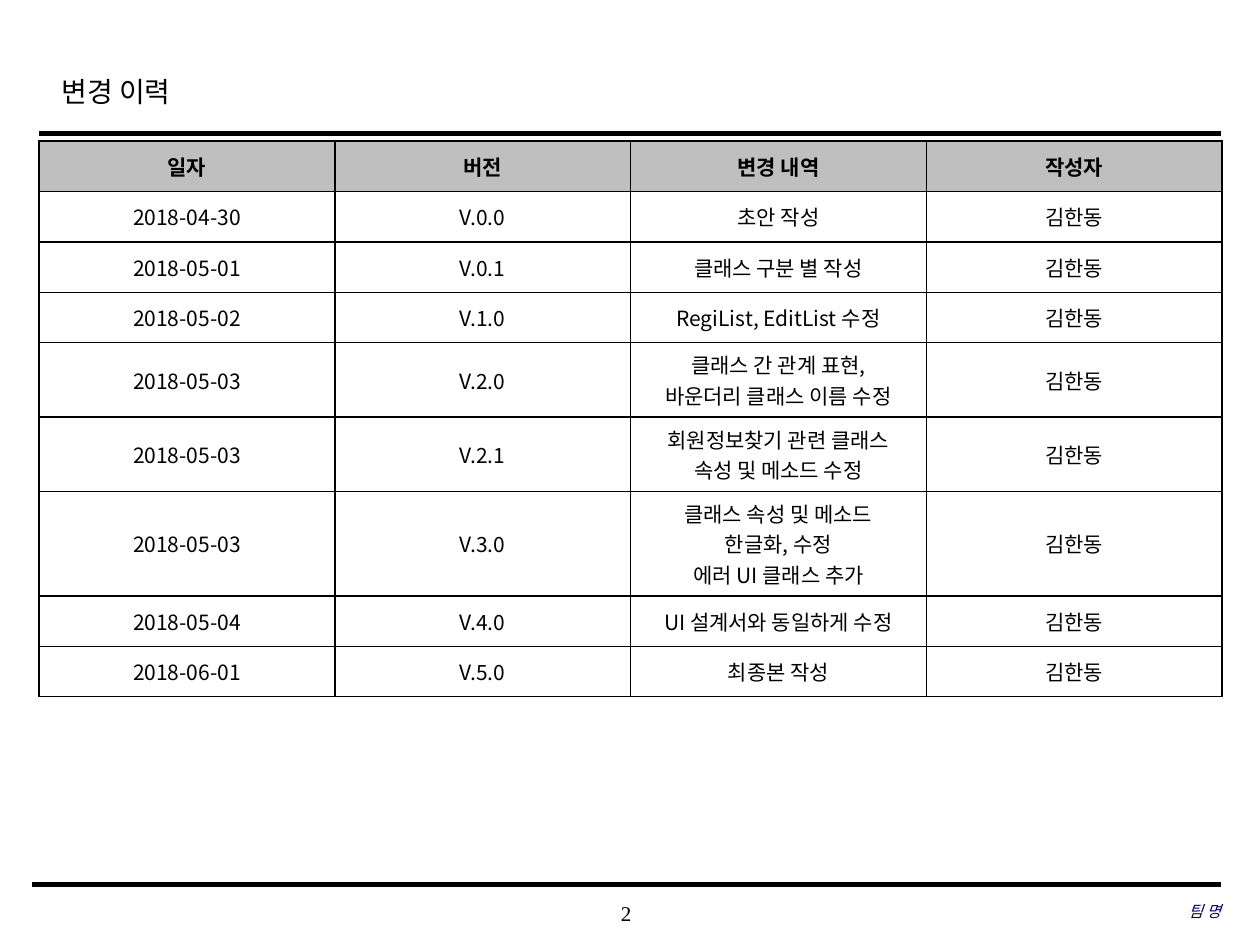
from dataclasses import dataclass

from lxml import etree
from pptx import Presentation
from pptx import util as u
from pptx.dml.color import RGBColor
from pptx.enum import shapes, text
from pptx.oxml import ns


@dataclass(frozen=True)
class Theme:
    """Colours, fonts and type sizes of the slide."""
    ink: str = "000000"
    team: str = "000066"
    header: str = "BFBFBF"
    paper: str = "FFFFFF"
    serif: str = "Times New Roman"
    sans: str = "Noto Sans CJK KR"
    title_size: int = 16
    body_size: int = 12
    team_size: int = 9


THEME = Theme()
AUTHOR = "김한동"
HEADINGS = ("일자", "버전", "변경 내역", "작성자")
CHANGES = (
    ("2018-04-30", "V.0.0", "초안 작성"),
    ("2018-05-01", "V.0.1", "클래스 구분 별 작성"),
    ("2018-05-02", "V.1.0", "RegiList, EditList 수정"),
    ("2018-05-03", "V.2.0", "클래스 간 관계 표현,\n바운더리 클래스 이름 수정"),
    ("2018-05-03", "V.2.1", "회원정보찾기 관련 클래스\n속성 및 메소드 수정"),
    ("2018-05-03", "V.3.0", "클래스 속성 및 메소드\n한글화, 수정\n에러 UI 클래스 추가"),
    ("2018-05-04", "V.4.0", "UI 설계서와 동일하게 수정"),
    ("2018-06-01", "V.5.0", "최종본 작성"),
)
MINIMUM_ROW = 0.4
LINE_HEIGHT = 0.24
ROW_PADDING = 0.11


def write_text(frame, content, *, size=THEME.body_size, font=THEME.serif,
               color=THEME.ink, bold=False, italic=False,
               align=text.PP_ALIGN.CENTER, spacing=None):
    """Fill a text frame with one formatted paragraph per line of content."""
    frame.text = content
    frame.word_wrap = True
    for paragraph in frame.paragraphs:
        paragraph.alignment = align
        if spacing:
            paragraph.line_spacing = spacing
        for run in paragraph.runs:
            run.font.name = font
            run.font.size = u.Pt(size)
            run.font.bold = bold
            run.font.italic = italic
            run.font.color.rgb = RGBColor.from_string(color)
            east_asian = etree.SubElement(run.font._element, ns.qn("a:ea"))
            east_asian.set("typeface", THEME.sans)


def add_text(slide, content, left, top, width, height, *, inset=0, **style):
    """Add a text box, centred vertically, with equal insets."""
    box = slide.shapes.add_textbox(*map(u.Inches, (left, top, width, height)))
    frame = box.text_frame
    frame.vertical_anchor = text.MSO_ANCHOR.MIDDLE
    frame.margin_left = frame.margin_right = u.Inches(inset)
    frame.margin_top = frame.margin_bottom = u.Inches(inset / 2)
    write_text(frame, content, **style)


def add_rule(slide, left, right, top, weight):
    """Add a horizontal rule without a shadow."""
    rule = slide.shapes.add_connector(
        shapes.MSO_CONNECTOR.STRAIGHT,
        *map(u.Inches, (left, top, right, top)))
    rule.line.width = u.Pt(weight)
    rule.line.color.rgb = RGBColor.from_string(THEME.ink)
    etree.SubElement(rule._element.spPr, ns.qn("a:effectLst"))


def set_borders(cell, weight=1):
    """Draw all four borders of a table cell."""
    properties = cell._tc.get_or_add_tcPr()
    for position, side in enumerate(("lnL", "lnR", "lnT", "lnB")):
        line = etree.Element(ns.qn(f"a:{side}"), w=str(u.Pt(weight)))
        fill = etree.SubElement(line, ns.qn("a:solidFill"))
        etree.SubElement(fill, ns.qn("a:srgbClr"), val=THEME.ink)
        properties.insert(position, line)


def row_height(row):
    """Return the height in inches that the tallest cell of a row needs."""
    lines = max(len(content.splitlines()) for content in row)
    return max(MINIMUM_ROW, ROW_PADDING + LINE_HEIGHT * lines)


def add_history(slide, left, top, width):
    """Add the table of changes under its heading row."""
    rows = [HEADINGS] + [(*change, AUTHOR) for change in CHANGES]
    heights = [row_height(row) for row in rows]
    frame = slide.shapes.add_table(
        len(rows), len(HEADINGS),
        *map(u.Inches, (left, top, width, sum(heights))))
    for row_index, row in enumerate(rows):
        frame.table.rows[row_index].height = u.Inches(heights[row_index])
        is_header = row_index == 0
        fill = THEME.header if is_header else THEME.paper
        for column_index, content in enumerate(row):
            cell = frame.table.cell(row_index, column_index)
            cell.vertical_anchor = text.MSO_ANCHOR.MIDDLE
            cell.fill.solid()
            cell.fill.fore_color.rgb = RGBColor.from_string(fill)
            set_borders(cell)
            write_text(cell.text_frame, content, font=THEME.sans, bold=is_header)


def main():
    """Build the change history slide and save it."""
    presentation = Presentation()
    presentation.slide_width = u.Inches(10)
    presentation.slide_height = u.Inches(7.5)
    slide = presentation.slides.add_slide(presentation.slide_layouts[6])
    add_text(slide, "2", 3.93, 7.08, 2.08, 0.33)
    add_rule(slide, 0.31, 9.69, 1.06, 2.5)
    add_rule(slide, 0.25, 9.69, 7.02, 3)
    add_text(slide, "변경 이력", 0.39, 0.45, 7.55, 0.5, inset=0.1,
             size=THEME.title_size, align=text.PP_ALIGN.LEFT, spacing=1.2)
    add_text(slide, "팀 명", 6.63, 7.07, 3.06, 0.33, size=THEME.team_size,
             color=THEME.team, italic=True, align=text.PP_ALIGN.RIGHT)
    add_history(slide, 0.31, 1.12, 9.39)
    presentation.save("out.pptx")


main()
